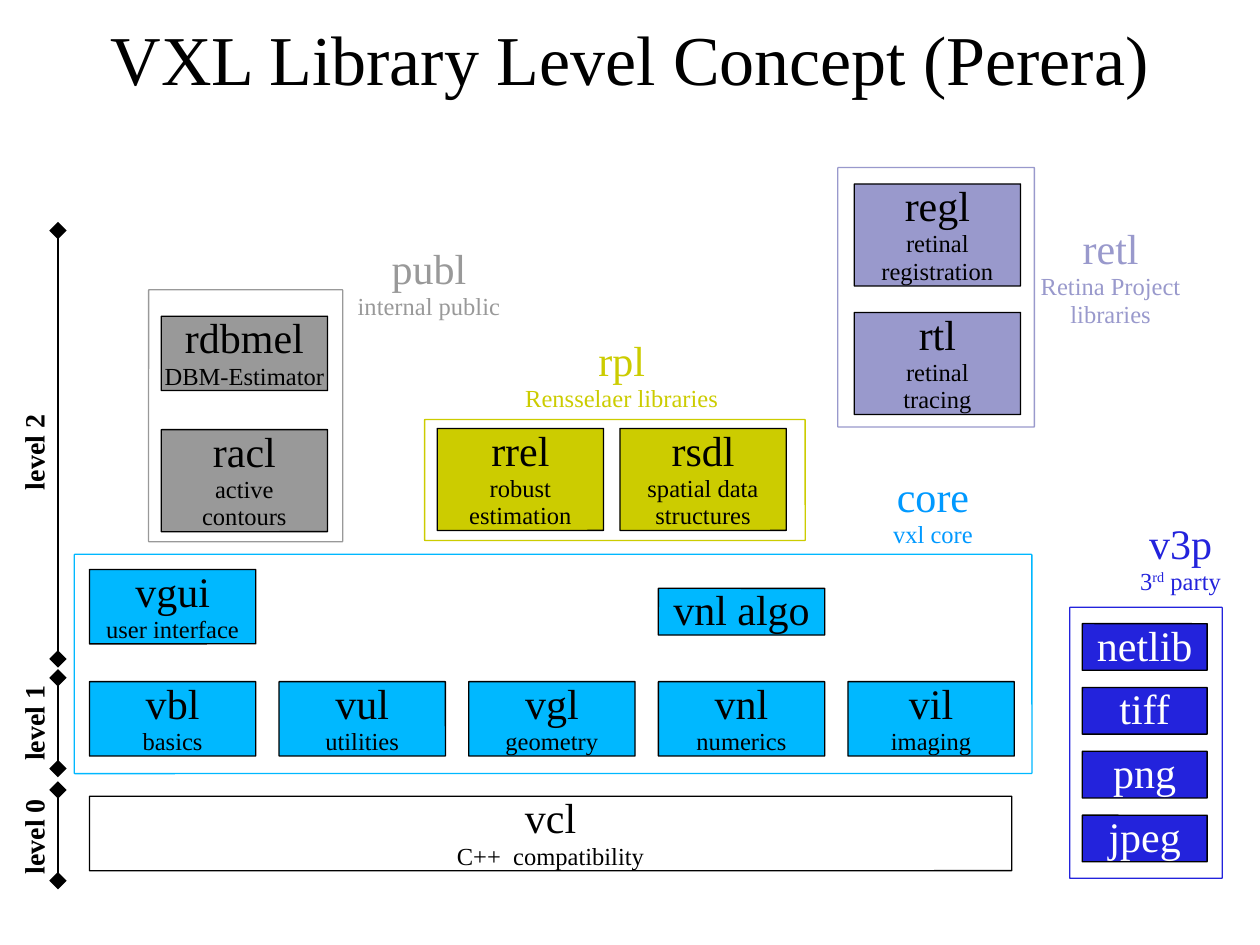
import pptx
import pptx.dml.color
import pptx.enum.shapes
import pptx.enum.text
import pptx.oxml
import pptx.oxml.ns
import pptx.util
from pptx.util import Inches

THEME = {
    "font": "Times New Roman",
    "title": 40, "name": 24, "detail": 14, "level": 16,
    "line": 0.75, "spacing": 0.93, "corner": 0.003,
    "black": "000000", "white": "FFFFFF",
    "core": "00B8FF", "core label": "0099FF", "v3p": "2323DC",
    "publ": "999999", "rpl": "CCCC00", "retl": "9999CC",
}

TITLE = "VXL Library Level Concept (Perera)"

# name, top and bottom of the arrow, middle of the label
LEVELS = [
    ("level 0", 6.27, 6.99, 6.64),
    ("level 1", 5.38, 6.1, 5.74),
    ("level 2", 1.83, 5.23, 3.59),
]
LEVEL_X, LEVEL_LABEL_X = 0.46, 0.28

BOX_WIDTH, SMALL_WIDTH, VCL_WIDTH = 1.32, 0.99, 7.32
LINE_HEIGHT, DETAIL_HEIGHT = 0.37, 0.22
LABEL_SLACK = 0.05

CORE_LEFT, CORE_RIGHT, CORE_TOP = 0.71, 6.73, 5.41
CORE_ROW = [("vbl", "basics"), ("vul", "utilities"), ("vgl", "geometry"),
            ("vnl", "numerics"), ("vil", "imaging")]
CORE_STEP = (CORE_RIGHT - CORE_LEFT) / (len(CORE_ROW) - 1)
V3P_LEFT, V3P_TOP, V3P_BOTTOM = 8.59, 4.95, 6.47
V3P_COLUMN = ["netlib", "tiff", "png", "jpeg"]
V3P_STEP = (V3P_BOTTOM - V3P_TOP) / (len(V3P_COLUMN) - 1)

# family, left, top, lines
OTHER_BOXES = [
    ("core", CORE_LEFT + 3 * CORE_STEP, 4.67, ["vnl algo"]),
    ("core", CORE_LEFT, 4.52, ["vgui", "user interface"]),
    ("publ", 1.28, 3.41, ["racl", "active", "contours"]),
    ("publ", 1.28, 2.51, ["rdbmel", "DBM-Estimator"]),
    ("rpl", 3.47, 3.4, ["rrel", "robust", "estimation"]),
    ("rpl", 4.92, 3.4, ["rsdl", "spatial data", "structures"]),
    ("retl", 6.78, 2.48, ["rtl", "retinal", "tracing"]),
    ("retl", 6.78, 1.46, ["regl", "retinal", "registration"]),
]

# family: left, top, width, height
FRAMES = {
    "core": (0.59, 4.4, 7.6, 1.74),
    "v3p": (8.49, 4.82, 1.21, 2.15),
    "publ": (1.18, 2.3, 1.54, 2),
    "rpl": (3.37, 3.33, 3.02, 0.96),
    "retl": (6.65, 1.33, 1.56, 2.06),
}

# colour, left, top, width, lines; text between carets is raised
LABELS = [
    ("publ", 2.84, 1.96, 1.13, ["publ", "internal public"]),
    ("retl", 8.26, 1.8, 1.11, ["retl", "Retina Project", "libraries"]),
    ("v3p", 9.05, 4.14, 0.64, ["v3p", "3^rd^ party"]),
    ("core label", 7.09, 3.77, 0.63, ["core", "vxl core"]),
    ("rpl", 4.17, 2.69, 1.53, ["rpl", "Rensselaer libraries"]),
]


def rgb(name):
    return pptx.dml.color.RGBColor.from_string(THEME[name])


def style_run(span, size, colour, bold=False):
    span.font.name = THEME["font"]
    span.font.size = pptx.util.Pt(THEME[size])
    span.font.color.rgb = rgb(colour)
    span.font.bold = bold


def write_lines(shape, lines, colour, sizes=("name", "detail"), bold=False, wrap=True):
    """Centre the lines in the shape, the first in sizes[0] and the rest in sizes[1]."""
    frame = shape.text_frame
    frame.margin_left = frame.margin_right = frame.margin_top = frame.margin_bottom = 0
    frame.vertical_anchor = pptx.enum.text.MSO_ANCHOR.MIDDLE
    frame.word_wrap = wrap
    frame.auto_size = pptx.enum.text.MSO_AUTO_SIZE.NONE
    for row, line in enumerate(lines):
        para = frame.add_paragraph() if row else frame.paragraphs[0]
        para.alignment = pptx.enum.text.PP_ALIGN.CENTER
        para.line_spacing = THEME["spacing"]
        for part, words in enumerate(line.split("^")):
            span = para.add_run()
            span.text = words
            style_run(span, sizes[min(row, 1)], colour, bold)
            if part % 2:
                span.font._element.set("baseline", "33000")


def block_height(lines):
    return LINE_HEIGHT + DETAIL_HEIGHT * (len(lines) - 1)


def add_panel(page, left, top, width, height, line, fill=None):
    panel = page.shapes.add_shape(
        pptx.enum.shapes.MSO_SHAPE.ROUNDED_RECTANGLE,
        Inches(left), Inches(top), Inches(width), Inches(height))
    panel.adjustments[0] = THEME["corner"]
    panel.shadow.inherit = False
    panel.line.color.rgb = rgb(line)
    panel.line.width = pptx.util.Pt(THEME["line"])
    if fill:
        panel.fill.solid()
        panel.fill.fore_color.rgb = rgb(fill)
    else:
        panel.fill.background()
    return panel


def add_box(page, fill, left, top, lines, width=BOX_WIDTH, colour="black"):
    box = add_panel(page, left, top, width, block_height(lines), "black", fill)
    write_lines(box, lines, colour)


def add_label(page, colour, left, top, width, lines):
    """Place a caption with a little slack on both sides, so that no line breaks."""
    label = page.shapes.add_textbox(
        Inches(left - LABEL_SLACK), Inches(top),
        Inches(width + 2 * LABEL_SLACK), Inches(block_height(lines)))
    write_lines(label, lines, colour, wrap=False)


def add_level(page, name, top, bottom, middle):
    """Group a double-ended arrow with its upright label."""
    group = page.shapes.add_group_shape()
    arrow = group.shapes.add_connector(
        pptx.enum.shapes.MSO_CONNECTOR.STRAIGHT,
        Inches(LEVEL_X), Inches(bottom), Inches(LEVEL_X), Inches(top))
    arrow.line.color.rgb = rgb("black")
    arrow.line.width = pptx.util.Pt(THEME["line"])
    outline = arrow.line._get_or_add_ln()
    namespace = pptx.oxml.ns.nsdecls("a")
    for end in ("a:headEnd", "a:tailEnd"):
        outline.append(pptx.oxml.parse_xml(
            f"<{end} {namespace} type='diamond' w='lg' len='lg'/>"))
    arrow._element.spPr.append(pptx.oxml.parse_xml(f"<a:effectLst {namespace}/>"))
    width, height = 0.6, 0.25
    label = group.shapes.add_textbox(
        Inches(LEVEL_LABEL_X - width / 2), Inches(middle - height / 2),
        Inches(width), Inches(height))
    label.rotation = 270
    write_lines(label, [name], "black", sizes=("level",), bold=True, wrap=False)


def add_title(page):
    title = page.shapes.title
    title.left, title.top = Inches(0.75), Inches(-0.17)
    title.width, title.height = Inches(8.5), Inches(1.25)
    frame = title.text_frame
    frame.text = TITLE
    frame.word_wrap = True
    frame.auto_size = pptx.enum.text.MSO_AUTO_SIZE.NONE
    frame.vertical_anchor = pptx.enum.text.MSO_ANCHOR.MIDDLE
    frame.paragraphs[0].alignment = pptx.enum.text.PP_ALIGN.CENTER
    style_run(frame.paragraphs[0].runs[0], "title", "black")


def main():
    deck = pptx.Presentation()
    deck.slide_width, deck.slide_height = Inches(10), Inches(7.5)
    page = deck.slides.add_slide(deck.slide_layouts[5])
    add_title(page)
    add_box(page, "white", CORE_LEFT, 6.32, ["vcl", "C++  compatibility"], VCL_WIDTH)
    for level in LEVELS:
        add_level(page, *level)
    for column, lines in enumerate(CORE_ROW):
        add_box(page, "core", CORE_LEFT + column * CORE_STEP, CORE_TOP, lines)
    for row, name in enumerate(V3P_COLUMN):
        add_box(page, "v3p", V3P_LEFT, V3P_TOP + row * V3P_STEP, [name],
                SMALL_WIDTH, "white")
    for box in OTHER_BOXES:
        add_box(page, *box)
    for family, place in FRAMES.items():
        add_panel(page, *place, line=family)
    for label in LABELS:
        add_label(page, *label)
    deck.save("out.pptx")


if __name__ == "__main__":
    main()
